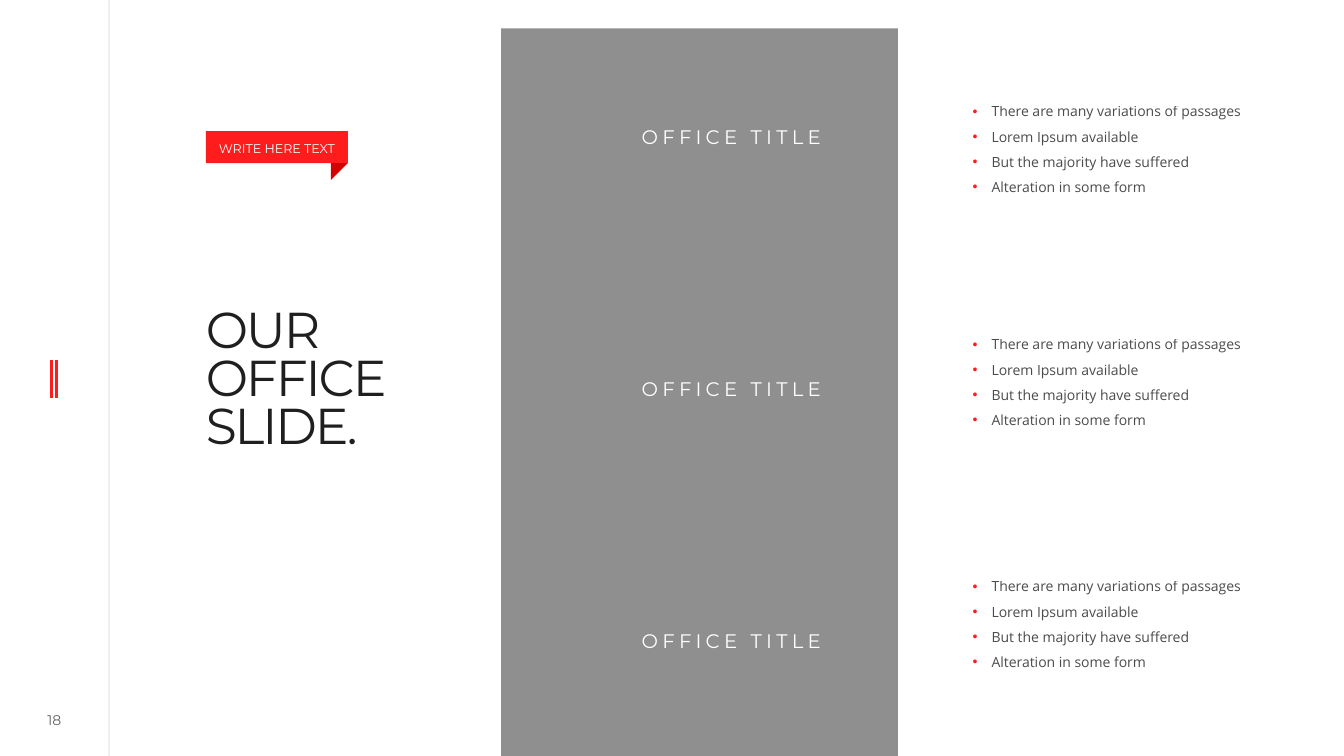
from lxml import etree
from pptx import Presentation
from pptx.dml.color import RGBColor
from pptx.enum.shapes import MSO_CONNECTOR, MSO_SHAPE
from pptx.enum.text import MSO_ANCHOR, MSO_AUTO_SIZE, PP_ALIGN
from pptx.oxml.ns import qn
from pptx.util import Pt

STRAIGHT = MSO_CONNECTOR.STRAIGHT
RECTANGLE, RIGHT_TRIANGLE = MSO_SHAPE.RECTANGLE, MSO_SHAPE.RIGHT_TRIANGLE
TOP, MIDDLE = MSO_ANCHOR.TOP, MSO_ANCHOR.MIDDLE
GROW, FIXED = MSO_AUTO_SIZE.SHAPE_TO_FIT_TEXT, MSO_AUTO_SIZE.NONE
LEFT, CENTER = PP_ALIGN.LEFT, PP_ALIGN.CENTER

WIDTH, HEIGHT = 960, 540
INK, RED, DARK_RED, WHITE, SHADE = "1F1F1F", "FE1C1D", "D30102", "FFFFFF", "202020"
HEADING_FONT, BODY_FONT = "Montserrat", "Open Sans"
OFFICE_COUNT, OFFICE_PITCH = 3, 180
LIST_TOPS = (64, 230.4, 403.2)
FEATURES = (
    "There are many variations of passages",
    "Lorem Ipsum available",
    "But the majority have suffered",
    "Alteration in some form",
)


def paint(fill, color, element, opacity=100):
    """Give a fill a solid colour, with opacity in percent."""
    fill.solid()
    fill.fore_color.rgb = RGBColor.from_string(color)
    if opacity < 100:
        for node in element.iter(qn("a:srgbClr")):
            etree.SubElement(node, qn("a:alpha")).set("val", str(opacity * 1000))


def set_values(target, values):
    """Set each named attribute of the target."""
    for name, value in values.items():
        setattr(target, name, value)


def add_rule(slide, x, top, bottom, color, width, opacity=100):
    """Draw a vertical line."""
    rule = slide.shapes.add_connector(STRAIGHT, Pt(x), Pt(top), Pt(x), Pt(bottom))
    rule.line.width = Pt(width)
    properties = rule._element.spPr
    paint(rule.line.fill, color, properties, opacity)
    etree.SubElement(properties, qn("a:effectLst"))


def add_block(slide, preset, box, color, opacity=100):
    """Draw a filled shape without outline."""
    shape = slide.shapes.add_shape(preset, *map(Pt, box))
    shape.shadow.inherit = False
    paint(shape.fill, color, shape._element.spPr, opacity)
    shape.line.fill.background()
    return shape


def add_bullet(paragraph):
    """Give a paragraph a red hanging bullet."""
    properties = paragraph._p.get_or_add_pPr()
    properties.set("marL", str(Pt(13.5)))
    properties.set("indent", str(Pt(-13.5)))
    color = etree.SubElement(properties, qn("a:buClr"))
    etree.SubElement(color, qn("a:srgbClr")).set("val", RED)
    etree.SubElement(properties, qn("a:buFont")).set("typeface", "Arial")
    etree.SubElement(properties, qn("a:buChar")).set("char", "•")


def write(shape, lines, size, color, font=HEADING_FONT, opacity=100, tracking=0,
          align=LEFT, anchor=TOP, insets=(3.6, 3.6), spacing=1.0,
          auto_size=FIXED, bullets=False):
    """Fill a shape with formatted paragraphs."""
    frame = shape.text_frame
    set_values(frame, {
        "word_wrap": True, "auto_size": auto_size, "vertical_anchor": anchor,
        "margin_left": 0, "margin_right": 0,
        "margin_top": Pt(insets[0]), "margin_bottom": Pt(insets[1]),
    })
    for index, line in enumerate(lines):
        paragraph = frame.add_paragraph() if index else frame.paragraphs[0]
        if bullets:
            add_bullet(paragraph)
        paragraph.text = line
        set_values(paragraph, {"alignment": align, "line_spacing": spacing})
        for run in paragraph.runs:
            set_values(run.font, {"size": Pt(size), "name": font})
            paint(run.font.fill, color, run._r, opacity)
            if tracking:
                run._r.get_or_add_rPr().set("spc", str(int(tracking * 100)))


def add_text(slide, box, lines, size, color, **options):
    """Place a text box and write into it."""
    write(slide.shapes.add_textbox(*map(Pt, box)), lines, size, color, **options)


def add_margin(slide, left, top, width, height):
    """Draw the left margin with its marker and page number."""
    add_rule(slide, left + width, top, top + height, INK, 0.5, 20)
    for offset in (36.9, 40.5):
        add_rule(slide, left + offset, top + 257, top + 284.4, RED, 2)
    add_text(slide, (left + 18.6, top + 505.5, 40.5, 18), ["18"], 10, INK,
             opacity=70, align=CENTER, anchor=MIDDLE, insets=(0, 0))


def add_heading(slide, left, top, width, height):
    """Draw the folded tag above the slide title."""
    tag_width, tag_height, fold = 101.5, 23, 12.2
    add_text(slide, (left, top + 112.4, width, height - 112.4),
             ["OUR\vOFFICE\vSLIDE."], 36, INK, tracking=-1.5,
             insets=(15.1, 0), spacing=0.8)
    tag = add_block(slide, RECTANGLE, (left, top, tag_width, tag_height), RED)
    write(tag, ["WRITE HERE TEXT"], 9, WHITE, align=CENTER, anchor=MIDDLE,
          insets=(5, 3.6))
    corner = add_block(slide, RIGHT_TRIANGLE,
                       (left + tag_width - fold, top + tag_height, fold, fold), DARK_RED)
    corner._element.spPr.xfrm.set("flipV", "1")


def add_office_panel(slide, left, top, width, height):
    """Draw the grey panel with evenly spaced office titles."""
    add_block(slide, RECTANGLE, (left, top, width, height), SHADE, 50)
    for index in range(OFFICE_COUNT):
        box = (left + 69.8, top + 69.8 + index * OFFICE_PITCH, 189.4, 20.2)
        add_text(slide, box, ["OFFICE TITLE"], 14, WHITE, tracking=3,
                 align=CENTER, spacing=0.7, auto_size=GROW)


def add_feature_list(slide, left, top, width, height):
    """Place one bulleted list of features."""
    add_text(slide, (left, top, width, height), FEATURES, 10, INK, font=BODY_FONT,
             opacity=80, spacing=1.5, auto_size=GROW, bullets=True)


def main():
    """Build and save the presentation."""
    presentation = Presentation()
    set_values(presentation, {"slide_width": Pt(WIDTH), "slide_height": Pt(HEIGHT)})
    slide = presentation.slides.add_slide(presentation.slide_layouts[6])
    add_margin(slide, 0, 0, 77.8, HEIGHT)
    add_heading(slide, 147, 93.6, 332.6, 239.8)
    add_office_panel(slide, 357.9, 20.2, 283.5, HEIGHT)
    for top in LIST_TOPS:
        add_feature_list(slide, 694.8, top, 220.3, 80)
    presentation.save("out.pptx")


if __name__ == "__main__":
    main()
